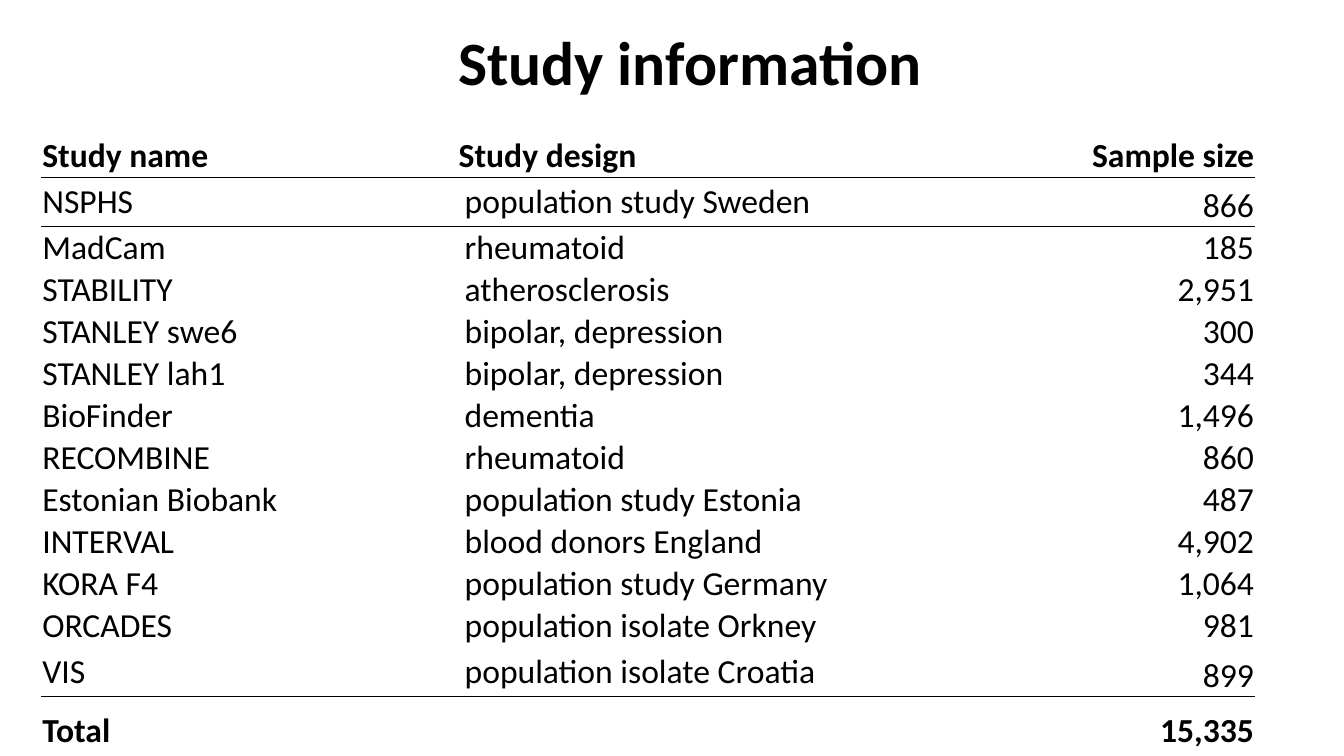
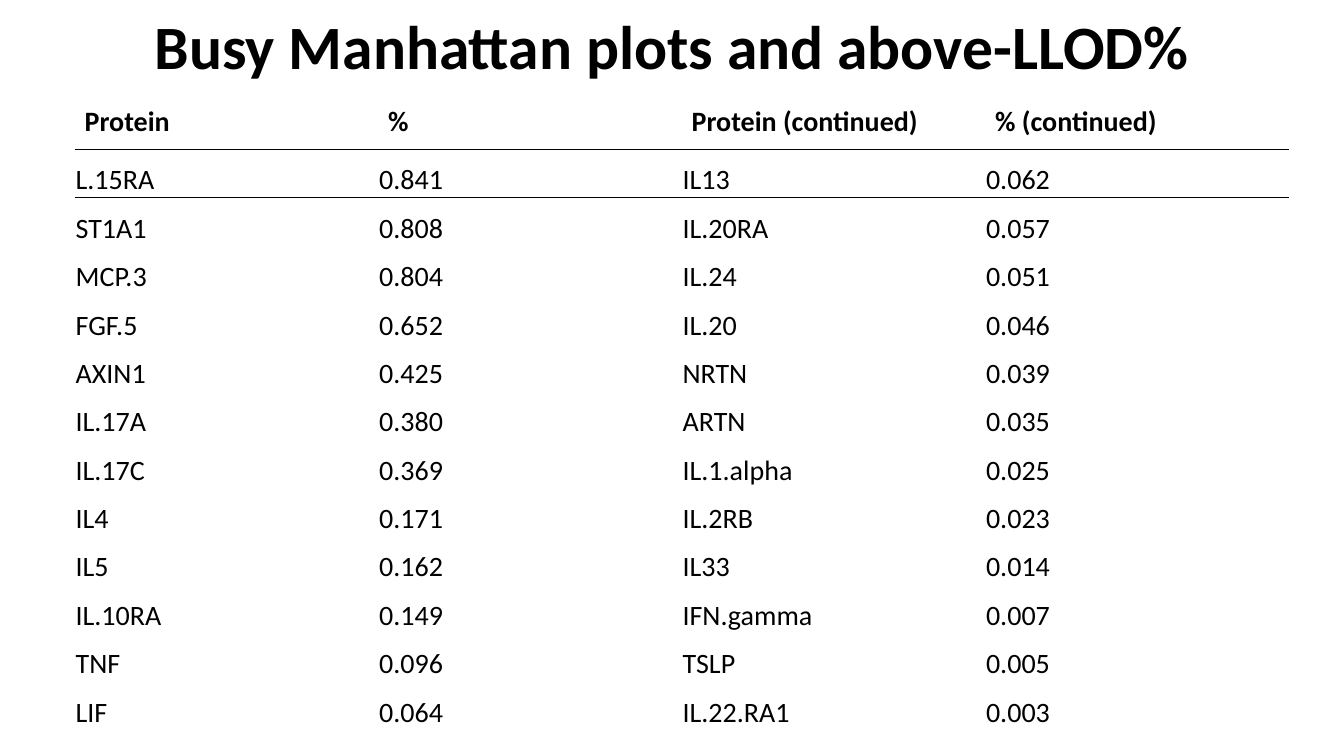
"""Build two slides with ruled tables: study information and protein detection rates."""
from lxml.etree import SubElement
from pptx import Presentation
from pptx.dml.color import RGBColor
from pptx.enum.text import MSO_ANCHOR, PP_ALIGN
from pptx.oxml import parse_xml
from pptx.oxml.ns import nsdecls, qn
from pptx.util import Pt

PX = 9144
BLACK = RGBColor(0x00, 0x00, 0x00)
FONT = "Calibri"
TITLE_SIZE = 44
PLAIN_TABLE = "{2D5ABB26-0587-4C30-8999-92F81FD0307C}"
TIGHT = (1, 1, 1, 0)
ROOMY = (10, 5, 10, 5)

STUDY_HEADER = ("Study name", "Study design", "Sample size")
STUDIES = [
    ("NSPHS", "population study Sweden", "866"),
    ("MadCam", "rheumatoid", "185"),
    ("STABILITY", "atherosclerosis", "2,951"),
    ("STANLEY swe6", "bipolar, depression", "300"),
    ("STANLEY lah1", "bipolar, depression", "344"),
    ("BioFinder", "dementia", "1,496"),
    ("RECOMBINE", "rheumatoid", "860"),
    ("Estonian Biobank", "population study Estonia", "487"),
    ("INTERVAL", "blood donors England", "4,902"),
    ("KORA F4", "population study Germany", "1,064"),
    ("ORCADES", "population isolate Orkney", "981"),
    ("VIS", "population isolate Croatia", "899"),
]
STUDY_TOTAL = ("Total", "", "15,335")
STUDY_COLUMNS = [413, 5, 522, 5, 257]
STUDY_ROWS = [43, 49] + [39] * 10 + [49, 68]

PROTEIN_HEADER = ("Protein", "%", "Protein (continued)", "% (continued)")
PROTEINS = [
    ("L.15RA", "0.841", "IL13", "0.062"),
    ("ST1A1", "0.808", "IL.20RA", "0.057"),
    ("MCP.3", "0.804", "IL.24", "0.051"),
    ("FGF.5", "0.652", "IL.20", "0.046"),
    ("AXIN1", "0.425", "NRTN", "0.039"),
    ("IL.17A", "0.380", "ARTN", "0.035"),
    ("IL.17C", "0.369", "IL.1.alpha", "0.025"),
    ("IL4", "0.171", "IL.2RB", "0.023"),
    ("IL5", "0.162", "IL33", "0.014"),
    ("IL.10RA", "0.149", "IFN.gamma", "0.007"),
    ("TNF", "0.096", "TSLP", "0.005"),
    ("LIF", "0.064", "IL.22.RA1", "0.003"),
]
PROTEIN_COLUMNS = [301] * 4
PROTEIN_ROWS = [49] + [48] * 12


def style_paragraph(para, size, bold, align):
    para.alignment = align
    para.font.name = FONT
    para.font.size = Pt(size)
    para.font.bold = bold
    para.font.color.rgb = BLACK


def add_title(page, text, left, top, width, height, spacing=1.0):
    box = page.shapes.add_textbox(left * PX, top * PX, width * PX, height * PX)
    frame = box.text_frame
    frame.word_wrap = True
    frame.vertical_anchor = MSO_ANCHOR.MIDDLE
    para = frame.paragraphs[0]
    para.text = text
    para.line_spacing = spacing
    style_paragraph(para, TITLE_SIZE, True, PP_ALIGN.CENTER)


def add_table(page, left, top, columns, rows):
    frame = page.shapes.add_table(len(rows), len(columns), left * PX, top * PX,
                                  sum(columns) * PX, sum(rows) * PX)
    table = frame.table
    table.first_row = table.horz_banding = False
    table._tbl.tblPr.find(qn("a:tableStyleId")).text = PLAIN_TABLE
    for column, width in zip(table.columns, columns):
        column.width = width * PX
    for row, height in zip(table.rows, rows):
        row.height = height * PX
    return table


def fill_cell(cell, text, size, bold=False, align=PP_ALIGN.LEFT,
              anchor=MSO_ANCHOR.MIDDLE, margins=TIGHT):
    cell.fill.background()
    cell.vertical_anchor = anchor
    (cell.margin_left, cell.margin_top,
     cell.margin_right, cell.margin_bottom) = [margin * PX for margin in margins]
    para = cell.text_frame.paragraphs[0]
    para.text = text
    style_paragraph(para, size, bold, align)


def rule_below(row, points):
    for cell in row.cells:
        line = parse_xml(f'<a:lnB {nsdecls("a")} w="{Pt(points)}"/>')
        fill = SubElement(line, qn("a:solidFill"))
        SubElement(fill, qn("a:srgbClr"), val=str(BLACK))
        cell._tc.get_or_add_tcPr().insert(0, line)


def build_studies(page):
    table = add_table(page, 41, 133, STUDY_COLUMNS, STUDY_ROWS)
    last = len(STUDY_ROWS) - 1
    for r, (name, design, size) in enumerate([STUDY_HEADER, *STUDIES, STUDY_TOTAL]):
        bold = r in (0, last)
        texts = (name, design, "", size, "") if r == 0 else (name, "", design, "", size)
        for c, text in enumerate(texts):
            fill_cell(table.cell(r, c), text, 24, bold,
                      PP_ALIGN.RIGHT if c > 2 else PP_ALIGN.LEFT,
                      MSO_ANCHOR.BOTTOM if c == 4 and not bold else MSO_ANCHOR.MIDDLE)
    for c in (1, 3):
        table.cell(0, c).merge(table.cell(0, c + 1))
    for r in (0, 1, last - 1):
        rule_below(table.rows[r], 0.75)
    add_title(page, "Study information", 402, 18, 565, 84)


def build_proteins(page):
    add_title(page, "Busy Manhattan plots and above-LLOD%", 92, 0, 1150, 99, 0.9)
    table = add_table(page, 74, 99, PROTEIN_COLUMNS, PROTEIN_ROWS)
    for r, texts in enumerate([PROTEIN_HEADER, *PROTEINS]):
        for c, text in enumerate(texts):
            if r == 0:
                fill_cell(table.cell(r, c), text, 20, True,
                          anchor=MSO_ANCHOR.TOP, margins=ROOMY)
            else:
                fill_cell(table.cell(r, c), text, 20, anchor=MSO_ANCHOR.BOTTOM)
    for r in (0, 1):
        rule_below(table.rows[r], 1)


def main():
    deck = Presentation()
    deck.slide_width, deck.slide_height = 1333 * PX, 750 * PX
    for build in (build_studies, build_proteins):
        build(deck.slides.add_slide(deck.slide_layouts[6]))
    deck.save("out.pptx")


if __name__ == "__main__":
    main()
